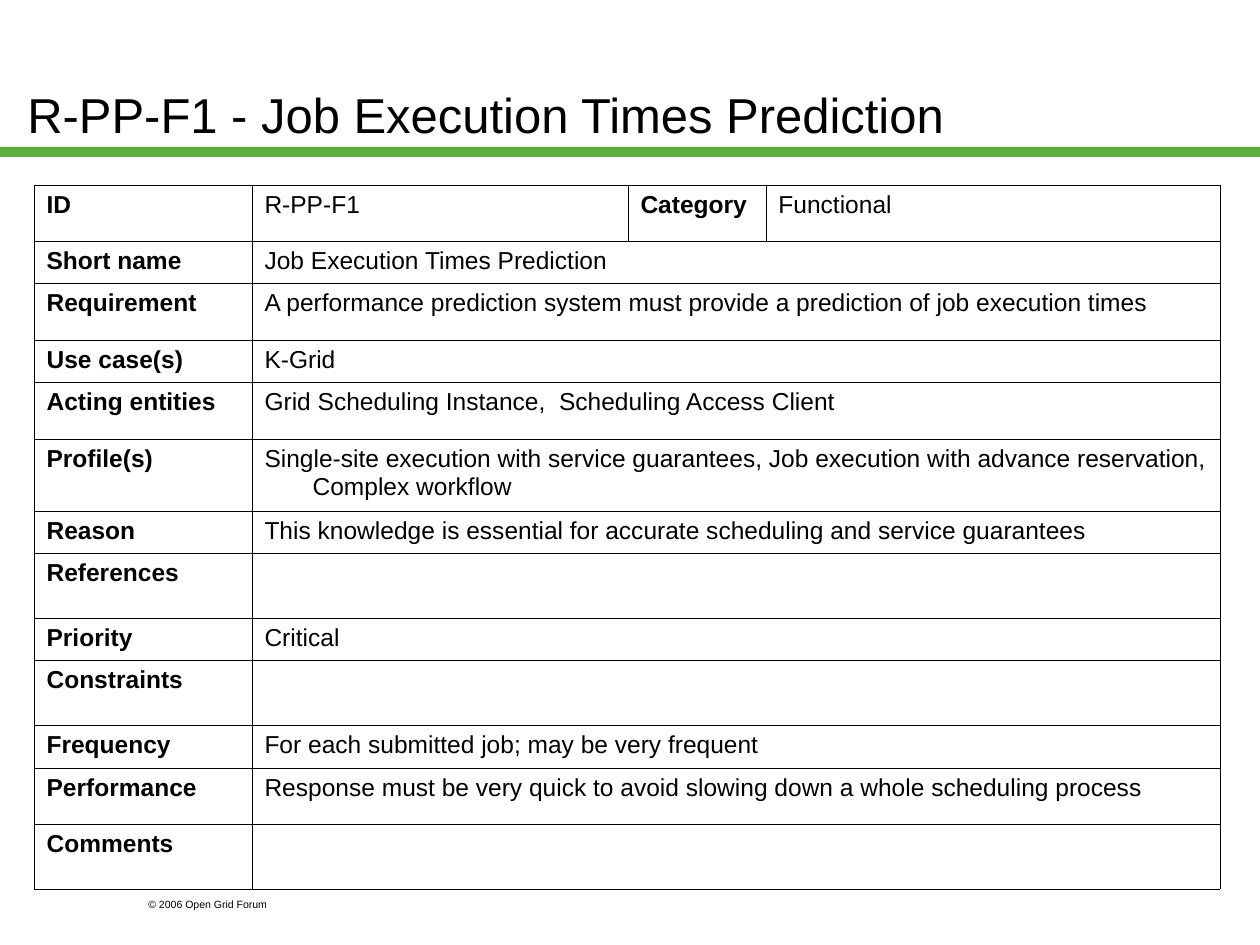
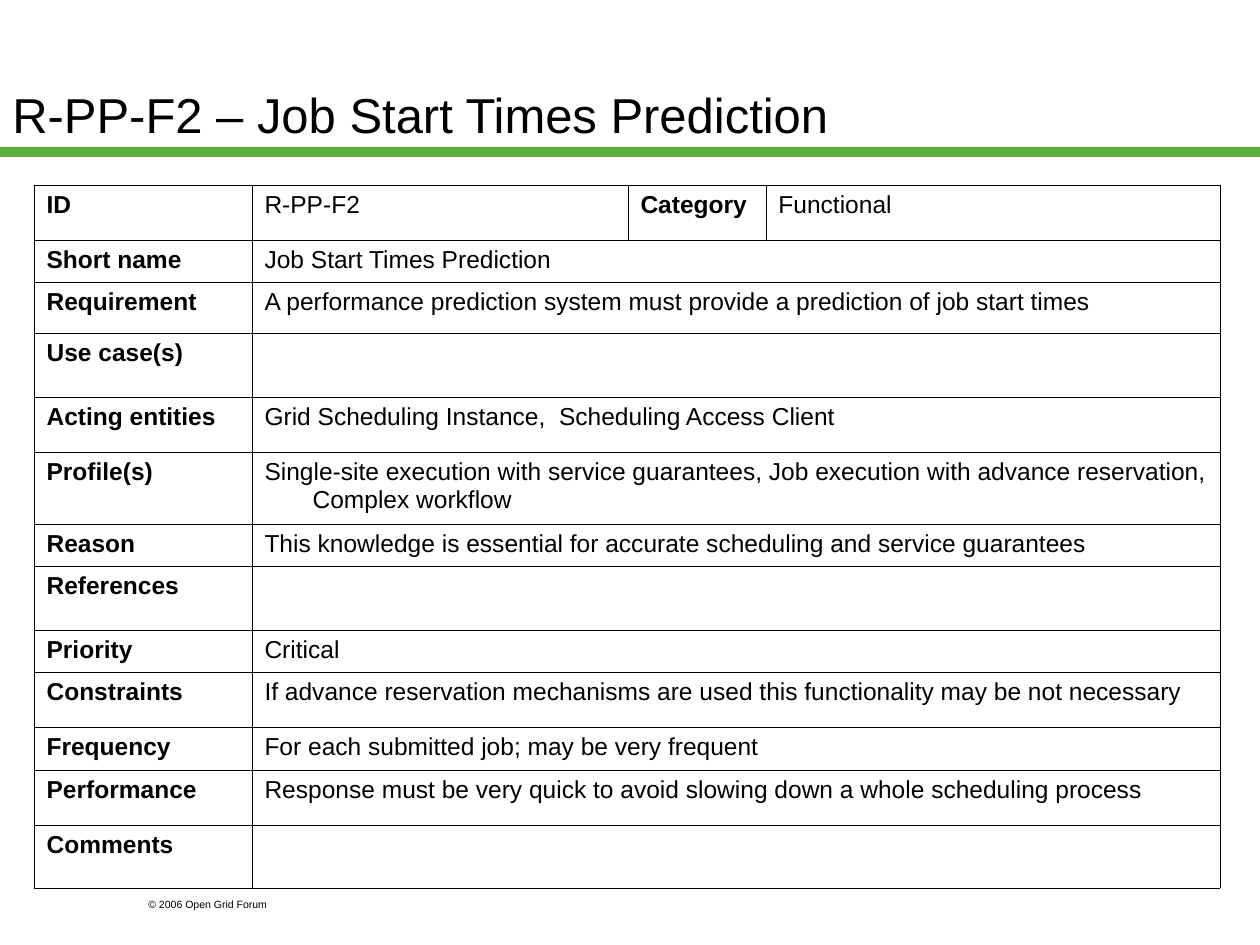
from dataclasses import dataclass, field

import pptx
import pptx.dml.color
import pptx.enum.shapes
import pptx.enum.text
import pptx.oxml
import pptx.oxml.ns
import pptx.util
from pptx.slide import Slide
from pptx.table import Table
from pptx.text.text import TextFrame

EMU_PER_PX = 914400 / 126


@dataclass(frozen=True)
class Theme:
    font: str = "Arial"
    ink: str = "000000"
    band: str = "5DAD41"
    title_size: int = 28
    table_size: int = 14
    footer_size: int = 6
    border_width: float = 0.34


@dataclass(frozen=True)
class Box:
    left: int
    top: int
    width: int
    height: int

    def emu(self) -> tuple[int, ...]:
        return tuple(px(side) for side in (self.left, self.top, self.width, self.height))


@dataclass(frozen=True)
class Requirement:
    id: str
    dash: str
    name: str
    title_left: int
    statement: str
    row_heights: tuple[int, ...]
    details: dict[str, str] = field(default_factory=dict)


THEME = Theme()
SLIDE_WIDTH, SLIDE_HEIGHT = 1260, 945
BAND = Box(0, 147, SLIDE_WIDTH, 10)
FOOTER = Box(136, 892, 189, 25)
TITLE_TOP, TITLE_WIDTH, TITLE_HEIGHT = 35, 1071, 158
TABLE_LEFT, TABLE_TOP = 34, 185
COLUMN_WIDTHS = (218, 376, 138, 454)
HANGING_INDENT = 48

LABELS = (
    "Short name", "Requirement", "Use case(s)", "Acting entities", "Profile(s)", "Reason",
    "References", "Priority", "Constraints", "Frequency", "Performance", "Comments",
)
COMMON_DETAILS = {
    "Acting entities": "Grid Scheduling Instance,  Scheduling Access Client",
    "Profile(s)": "Single-site execution with service guarantees, "
                  "Job execution with advance reservation, Complex workflow",
    "Reason": "This knowledge is essential for accurate scheduling and service guarantees",
    "Priority": "Critical",
    "Frequency": "For each submitted job; may be very frequent",
    "Performance": "Response must be very quick to avoid slowing down a whole scheduling process",
}
REQUIREMENTS = (
    Requirement(
        "R-PP-F1", "-", "Job Execution Times Prediction", 15,
        "A performance prediction system must provide a prediction of job execution times",
        (56, 42, 57, 42, 57, 72, 42, 65, 42, 65, 43, 56, 65),
        {"Use case(s)": "K-Grid"},
    ),
    Requirement(
        "R-PP-F2", "–", "Job Start Times Prediction", 0,
        "A performance prediction system must provide a prediction of job start times",
        (55, 42, 51, 64, 55, 72, 42, 64, 42, 55, 43, 55, 63),
        {"Constraints": "If advance reservation mechanisms are used "
                        "this functionality may be not necessary"},
    ),
)


def px(length: int) -> int:
    return round(length * EMU_PER_PX)


def rgb(colour: str) -> pptx.dml.color.RGBColor:
    return pptx.dml.color.RGBColor.from_string(colour)


def write(frame: TextFrame, text: str, *, size: int, bold: bool = False, hanging: int = 0) -> None:
    paragraph = frame.paragraphs[0]
    if hanging:
        properties = paragraph._p.get_or_add_pPr()
        properties.set("marL", str(px(hanging)))
        properties.set("indent", str(-px(hanging)))
    run = paragraph.add_run()
    run.text = text
    run.font.name = THEME.font
    run.font.size = pptx.util.Pt(size)
    run.font.bold = bold
    run.font.color.rgb = rgb(THEME.ink)


def add_text(slide: Slide, box: Box, text: str, *, size: int, middle: bool = False) -> None:
    frame = slide.shapes.add_textbox(*box.emu()).text_frame
    frame.word_wrap = True
    anchors = pptx.enum.text.MSO_ANCHOR
    frame.vertical_anchor = anchors.MIDDLE if middle else anchors.TOP
    write(frame, text, size=size)


def add_frame(slide: Slide) -> None:
    """Draw the green band and the copyright footer."""
    band = slide.shapes.add_shape(pptx.enum.shapes.MSO_SHAPE.RECTANGLE, *BAND.emu())
    band.shadow.inherit = False
    band.fill.solid()
    band.fill.fore_color.rgb = rgb(THEME.band)
    band.line.fill.background()
    add_text(slide, FOOTER, "© 2006 Open Grid Forum", size=THEME.footer_size)


def rule_cells(table: Table) -> None:
    """Give every cell thin borders and no fill."""
    width = pptx.util.Pt(THEME.border_width)
    for cell in table.iter_cells():
        properties = cell._tc.get_or_add_tcPr()
        for side in ("lnL", "lnR", "lnT", "lnB"):
            properties.append(pptx.oxml.parse_xml(
                f'<a:{side} {pptx.oxml.ns.nsdecls("a")} w="{width}"><a:solidFill>'
                f'<a:srgbClr val="{THEME.ink}"/></a:solidFill></a:{side}>'
            ))
        cell.fill.background()


def add_requirement_table(slide: Slide, requirement: Requirement) -> None:
    details = COMMON_DETAILS | requirement.details | {
        "Short name": requirement.name,
        "Requirement": requirement.statement,
    }
    rows = [("ID", requirement.id, "Category", "Functional")]
    rows += [(label, details.get(label, "")) for label in LABELS]
    heights = requirement.row_heights
    box = Box(TABLE_LEFT, TABLE_TOP, sum(COLUMN_WIDTHS), sum(heights))
    table = slide.shapes.add_table(len(rows), len(COLUMN_WIDTHS), *box.emu()).table
    table.first_row = table.horz_banding = False
    for column, width in zip(table.columns, COLUMN_WIDTHS):
        column.width = px(width)
    rule_cells(table)

    last_column = len(COLUMN_WIDTHS) - 1
    for row_index, (texts, height) in enumerate(zip(rows, heights)):
        table.rows[row_index].height = px(height)
        if len(texts) == 2:
            table.cell(row_index, 1).merge(table.cell(row_index, last_column))
        for column_index, text in enumerate(texts):
            if text:
                write(table.cell(row_index, column_index).text_frame, text,
                      size=THEME.table_size, bold=column_index % 2 == 0,
                      hanging=HANGING_INDENT)


def main() -> None:
    presentation = pptx.Presentation()
    presentation.slide_width = px(SLIDE_WIDTH)
    presentation.slide_height = px(SLIDE_HEIGHT)
    blank_layout = presentation.slide_layouts[6]
    for requirement in REQUIREMENTS:
        slide = presentation.slides.add_slide(blank_layout)
        add_frame(slide)
        title_box = Box(requirement.title_left, TITLE_TOP, TITLE_WIDTH, TITLE_HEIGHT)
        add_text(slide, title_box, f"{requirement.id} {requirement.dash} {requirement.name}",
                 size=THEME.title_size, middle=True)
        add_requirement_table(slide, requirement)
    presentation.save("out.pptx")


if __name__ == "__main__":
    main()
